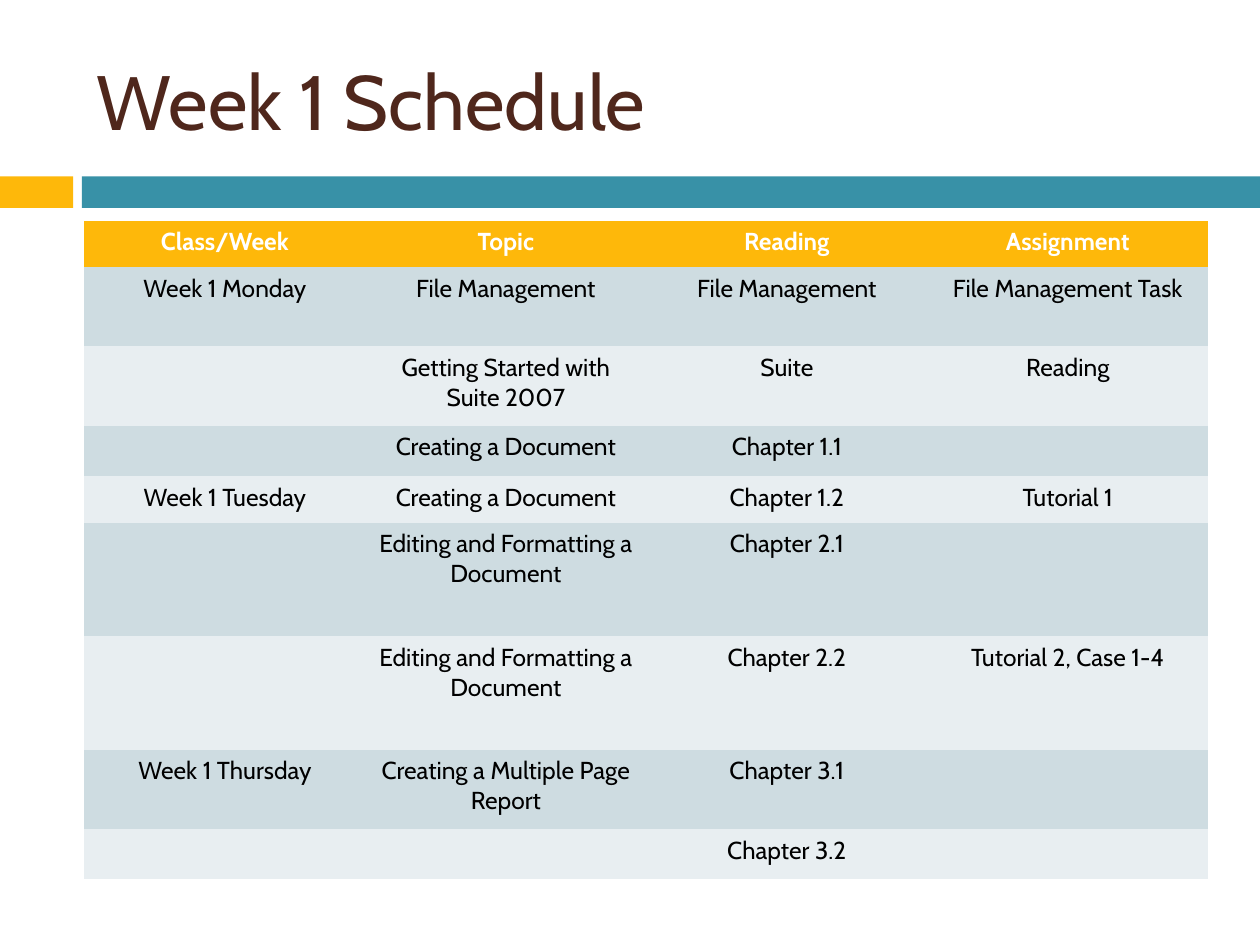
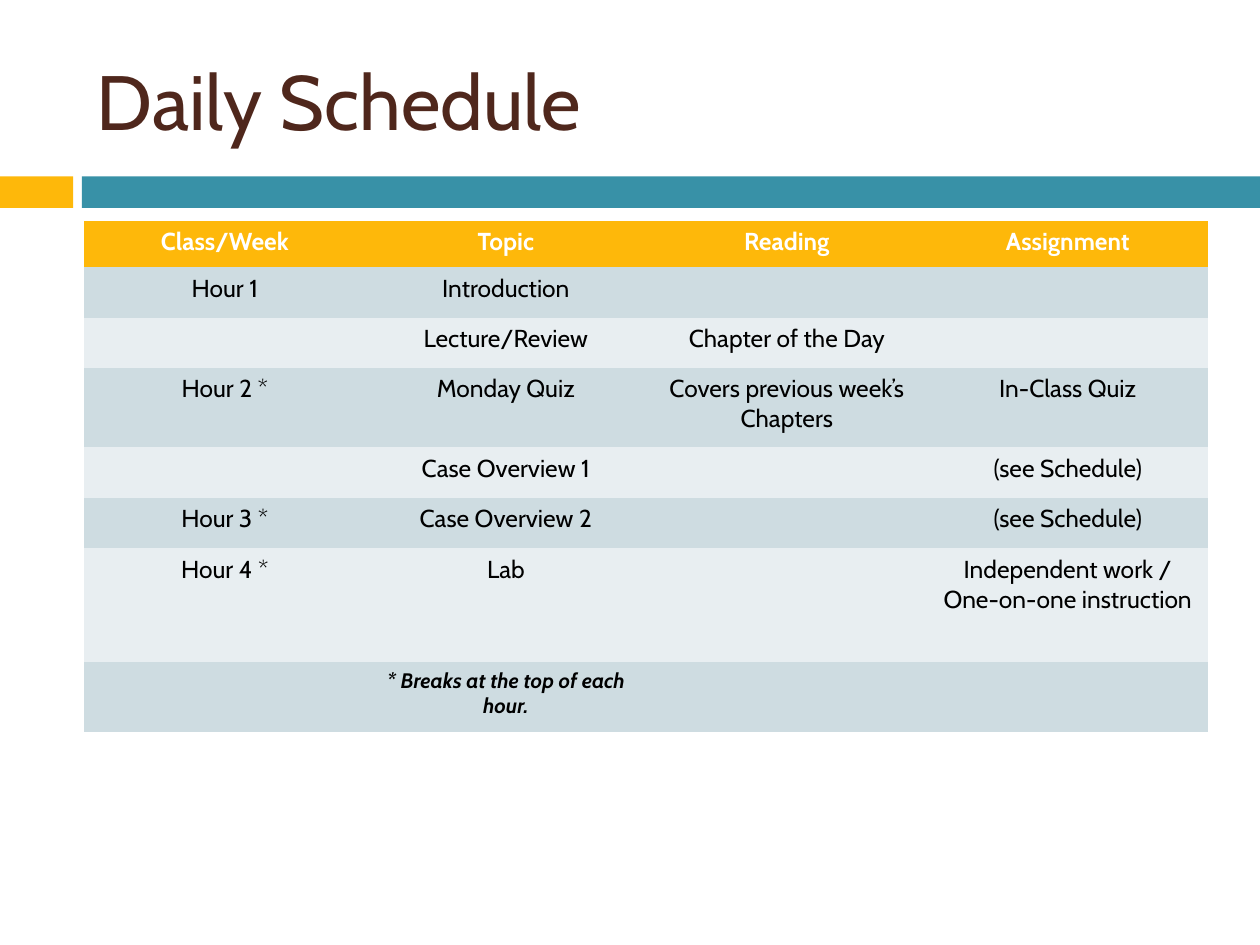
"""Build the two course schedule slides."""
import dataclasses
import typing

import pptx
import pptx.dml.color
import pptx.enum.shapes
import pptx.enum.text
import pptx.oxml.ns
import pptx.util

Inches = pptx.util.Inches
Align = pptx.enum.text.PP_ALIGN
NO_GRID_STYLE = "{2D5ABB26-0587-4C30-8999-92F81FD0307C}"


@dataclasses.dataclass(frozen=True)
class Theme:
    font: str = "Cabin"
    title_color: str = "4F271C"
    accent: str = "FEB80A"
    band: str = "3891A7"
    header_color: str = "FFFFFF"
    body_color: str = "000000"
    row_fills: tuple[str, str] = ("CEDCE1", "E8EEF1")
    title_size: int = 44
    body_size: int = 14
    note_size: int = 12


THEME = Theme()


@dataclasses.dataclass(frozen=True)
class Band:
    left: float
    width: float
    color: str


@dataclasses.dataclass(frozen=True)
class Row:
    height: float
    cells: tuple[str, str, str, str]
    note: bool = False


@dataclasses.dataclass(frozen=True)
class Schedule:
    title: str
    rows: tuple[Row, ...]


LEFT, WIDTH = 0.67, 8.92
BANDS = (Band(0, 0.58, THEME.accent), Band(0.65, 9.35, THEME.band))
ONE_LINE, TWO_LINES, TALL, NOTE = 0.37, 0.63, 0.9, 0.56
HEADER = Row(ONE_LINE, ("Class/Week", "Topic", "Reading", "Assignment"))

SCHEDULES = (
    Schedule("Week 1 Schedule", (
        Row(TWO_LINES, ("Week 1 Monday", "File Management", "File Management", "File Management Task")),
        Row(TWO_LINES, ("", "Getting Started with Suite 2007", "Suite", "Reading")),
        Row(ONE_LINE, ("", "Creating a Document", "Chapter 1.1", "")),
        Row(ONE_LINE, ("Week 1 Tuesday", "Creating a Document", "Chapter 1.2", "Tutorial 1")),
        Row(TALL, ("", "Editing and Formatting a Document", "Chapter 2.1", "")),
        Row(TALL, ("", "Editing and Formatting a Document", "Chapter 2.2", "Tutorial 2, Case 1-4")),
        Row(TWO_LINES, ("Week 1 Thursday", "Creating a Multiple Page Report", "Chapter 3.1", "")),
        Row(ONE_LINE, ("", "", "Chapter 3.2", "")),
    )),
    Schedule("Daily Schedule", (
        Row(ONE_LINE, ("Hour 1", "Introduction", "", "")),
        Row(ONE_LINE, ("", "Lecture/Review", "Chapter of the Day", "")),
        Row(TWO_LINES, ("Hour 2 *", "Monday Quiz", "Covers previous week’s Chapters", "In-Class Quiz")),
        Row(ONE_LINE, ("", "Case Overview 1", "", "(see Schedule)")),
        Row(ONE_LINE, ("Hour 3 *", "Case Overview 2", "", "(see Schedule)")),
        Row(TALL, ("Hour 4 *", "Lab", "", "Independent work / One-on-one instruction")),
        Row(NOTE, ("", "* Breaks at the top of each hour.", "", ""), note=True),
    )),
)


def paint(fill: typing.Any, color: str) -> None:
    fill.solid()
    fill.fore_color.rgb = pptx.dml.color.RGBColor.from_string(color)


def write(frame: typing.Any, text: str, *, size: int, color: str, align: Align = Align.LEFT,
          bold: bool = False, italic: bool = False) -> None:
    paragraph = frame.paragraphs[0]
    paragraph.alignment = align
    run = paragraph.add_run()
    run.text = text
    run.font.name = THEME.font
    run.font.size = pptx.util.Pt(size)
    run.font.bold = bold
    run.font.italic = italic
    run.font.color.rgb = pptx.dml.color.RGBColor.from_string(color)


def add_band(slide: typing.Any, band: Band) -> None:
    stripe = slide.shapes.add_shape(pptx.enum.shapes.MSO_SHAPE.RECTANGLE, Inches(band.left),
                                    Inches(1.4), Inches(band.width), Inches(0.25))
    stripe.shadow.inherit = False
    paint(stripe.fill, band.color)
    stripe.line.fill.background()


def add_title(slide: typing.Any, text: str) -> None:
    title = slide.shapes.add_textbox(Inches(LEFT), Inches(0.25), Inches(WIDTH), Inches(1.08))
    title.text_frame.word_wrap = True
    title.text_frame.vertical_anchor = pptx.enum.text.MSO_ANCHOR.MIDDLE
    write(title.text_frame, text, size=THEME.title_size, color=THEME.title_color)


def add_timetable(slide: typing.Any, rows: tuple[Row, ...]) -> None:
    columns = len(HEADER.cells)
    timetable = slide.shapes.add_table(
        len(rows), columns, Inches(LEFT), Inches(1.75), Inches(WIDTH),
        Inches(sum(row.height for row in rows))).table
    timetable.first_row = timetable.horz_banding = False
    timetable._tbl.tblPr.find(pptx.oxml.ns.qn("a:tableStyleId")).text = NO_GRID_STYLE
    for column in timetable.columns:
        column.width = Inches(WIDTH / columns)
    for index, row in enumerate(rows):
        heading = row is HEADER
        timetable.rows[index].height = Inches(row.height)
        for position, text in enumerate(row.cells):
            cell = timetable.cell(index, position)
            paint(cell.fill, THEME.accent if heading else THEME.row_fills[(index - 1) % 2])
            if text:
                write(cell.text_frame, text, align=Align.CENTER,
                      size=THEME.note_size if row.note else THEME.body_size,
                      color=THEME.header_color if heading else THEME.body_color,
                      bold=heading or row.note, italic=row.note)


def main() -> None:
    deck = pptx.Presentation()
    deck.slide_width, deck.slide_height = Inches(10), Inches(7.5)
    for schedule in SCHEDULES:
        slide = deck.slides.add_slide(deck.slide_layouts[6])
        for band in BANDS:
            add_band(slide, band)
        add_title(slide, schedule.title)
        add_timetable(slide, (HEADER, *schedule.rows))
    deck.save("out.pptx")


if __name__ == "__main__":
    main()
